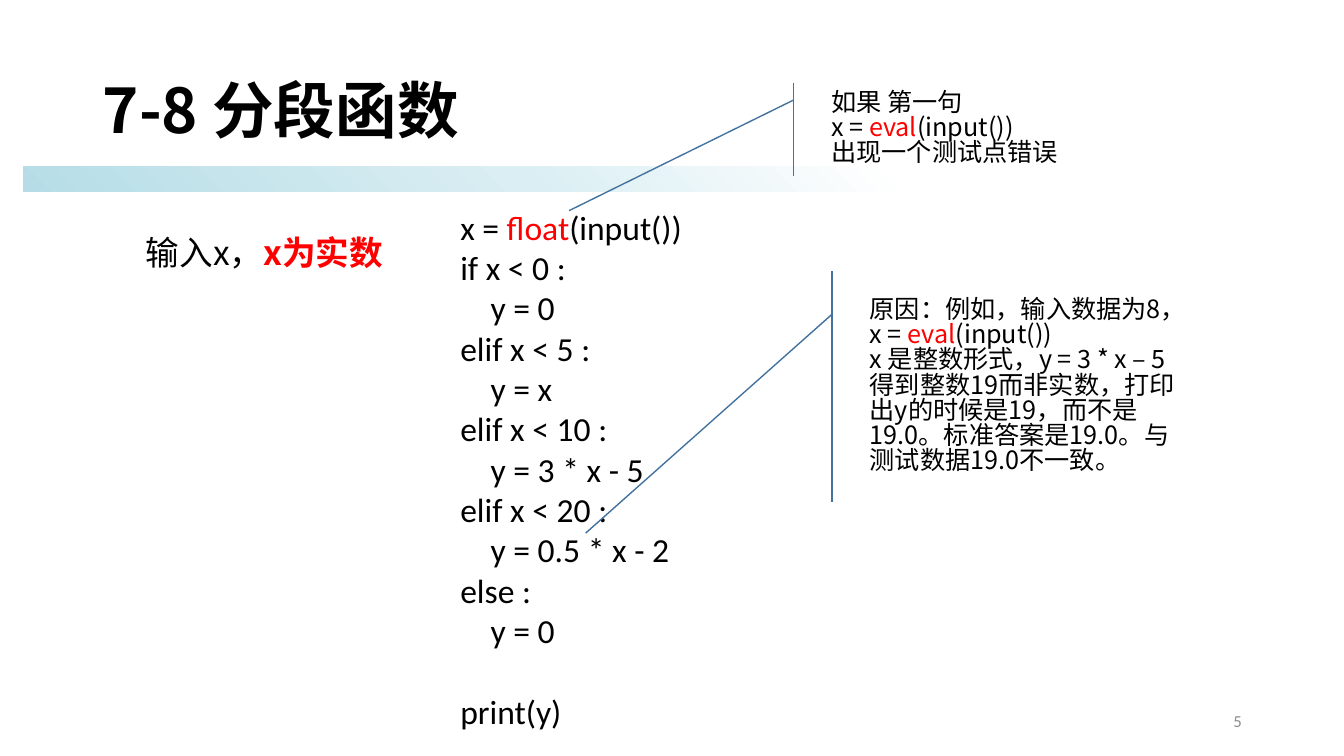
from lxml import etree
from pptx import Presentation
from pptx import util as u
from pptx.dml.color import RGBColor
from pptx.enum import shapes, text
from pptx.oxml import parse_xml
from pptx.oxml.ns import nsdecls, qn

COLORS = {"ink": "000000", "alert": "FF0000", "number": "8C8C8C", "callout": "43739E"}
BAND_STOPS = {0: "B6DDE7", 40: "DAEEF3", 70: "FFFFFF", 100: "FFFFFF"}
CJK, LATIN = "Noto Sans CJK SC", "Calibri"


class Sheet:
    """Holds the text style and the slide being filled."""

    def __init__(self, slide):
        self.slide = slide
        self.base = {"size": u.Pt(24), "name": CJK, "bold": False}

    def rgb(self, key):
        return RGBColor.from_string(COLORS[key])

    def shape(self, kind, box):
        shape = self.slide.shapes.add_shape(kind, *map(u.Cm, box))
        shape.shadow.inherit = False
        return shape

    def fill_text(self, frame, lines, anchor="TOP", align="LEFT", spacing=None, **style):
        """Fill a frame; a line is a list of (words, colour key) or (words, colour key, style)."""
        frame.word_wrap = True
        frame.vertical_anchor = getattr(text.MSO_ANCHOR, anchor)
        for number, line in enumerate(lines):
            paragraph = frame.paragraphs[0] if number == 0 else frame.add_paragraph()
            paragraph.alignment = getattr(text.PP_ALIGN, align)
            if spacing:
                paragraph.line_spacing = spacing
            for words, color, *extra in line:
                run = paragraph.add_run()
                run.text = words
                run.font.color.rgb = self.rgb(color)
                values = {**self.base, **style, **(extra[0] if extra else {})}
                for key, value in values.items():
                    setattr(run.font, key, value)
                east_asian = etree.SubElement(run.font._element, qn("a:ea"))
                east_asian.set("typeface", CJK)

    def label(self, box, lines, **style):
        frame = self.slide.shapes.add_textbox(*map(u.Cm, box)).text_frame
        self.fill_text(frame, lines, **style)
        return frame

    def band(self, box, stops, angle):
        band = self.shape(shapes.MSO_SHAPE.RECTANGLE, box)
        band.line.fill.background()
        marks = "".join(
            f'<a:gs pos="{place * 1000}"><a:srgbClr val="{color}"/></a:gs>'
            for place, color in stops.items())
        gradient = parse_xml(
            f'<a:gradFill {nsdecls("a")} rotWithShape="1"><a:gsLst>{marks}</a:gsLst>'
            f'<a:lin ang="{angle * 60000}" scaled="0"/></a:gradFill>')
        band._element.spPr.find(qn("a:prstGeom")).addnext(gradient)

    def callout(self, box, pointer, lines):
        """Accent-bar callout; pointer is the (y, x) of the far end as shares of the box."""
        callout = self.shape(shapes.MSO_SHAPE.LINE_CALLOUT_1_ACCENT_BAR, box)
        for index, value in enumerate((0.188, -0.083, *pointer)):
            callout.adjustments[index] = value
        callout.fill.background()
        callout.line.color.rgb = self.rgb("callout")
        callout.line.width = u.Pt(1)
        self.fill_text(callout.text_frame, lines, anchor="MIDDLE", size=u.Pt(18), spacing=0.83)


def reading(function):
    """The input line with its conversion function in red."""
    return [("x = ", "ink"), (function, "alert"), ("(input())", "ink")]


def main():
    deck = Presentation()
    deck.slide_width, deck.slide_height = u.Cm(33.87), u.Cm(19.05)
    sheet = Sheet(deck.slides.add_slide(deck.slide_layouts[6]))

    sheet.band((0.58, 4.19, 31.6, 0.64), BAND_STOPS, 315)
    sheet.label((2.34, 1.02, 29.21, 3.68), [[("7-8 分段函数", "ink")]],
                anchor="MIDDLE", spacing=0.9, size=u.Pt(44), bold=True)
    sheet.label((23.93, 17.65, 7.62, 1.02), [[("5", "number")]],
                anchor="MIDDLE", align="RIGHT", size=u.Pt(12), name=LATIN)
    sheet.label((3.43, 5.89, 6.58, 1.27),
                [[("输入x，", "ink"), ("x为实数", "alert", {"bold": True})]], spacing=0.83)

    branches = [("if x < 0 :", "0"), ("elif x < 5 :", "x"), ("elif x < 10 :", "3 * x - 5"),
                ("elif x < 20 :", "0.5 * x - 2"), ("else :", "0")]
    code = [reading("float")]
    for test, value in branches:
        code += [[(test, "ink")], [(f"    y = {value}", "ink")]]
    code.append([("print(y)", "ink")])
    program = sheet.label((11.35, 5.08, 16.94, 13.59), code, name=LATIN)
    program.paragraphs[-1].space_before = u.Pt(29)

    sheet.callout((20.7, 2.08, 8.48, 2.36), (1.369, -0.75), [
        [("如果 第一句", "ink")], reading("eval"), [("出现一个测试点错误", "ink")]])
    sheet.callout((21.67, 6.83, 8.51, 5.82), (1.135, -0.812), [
        [("原因：例如，输入数据为8，", "ink")], reading("eval"),
        [("x 是整数形式，y = 3 * x – 5得到整数19而非实数，打印出y的时候是19，"
          "而不是19.0。标准答案是19.0。与测试数据19.0不一致。", "ink")]])
    deck.save("out.pptx")


if __name__ == "__main__":
    main()
